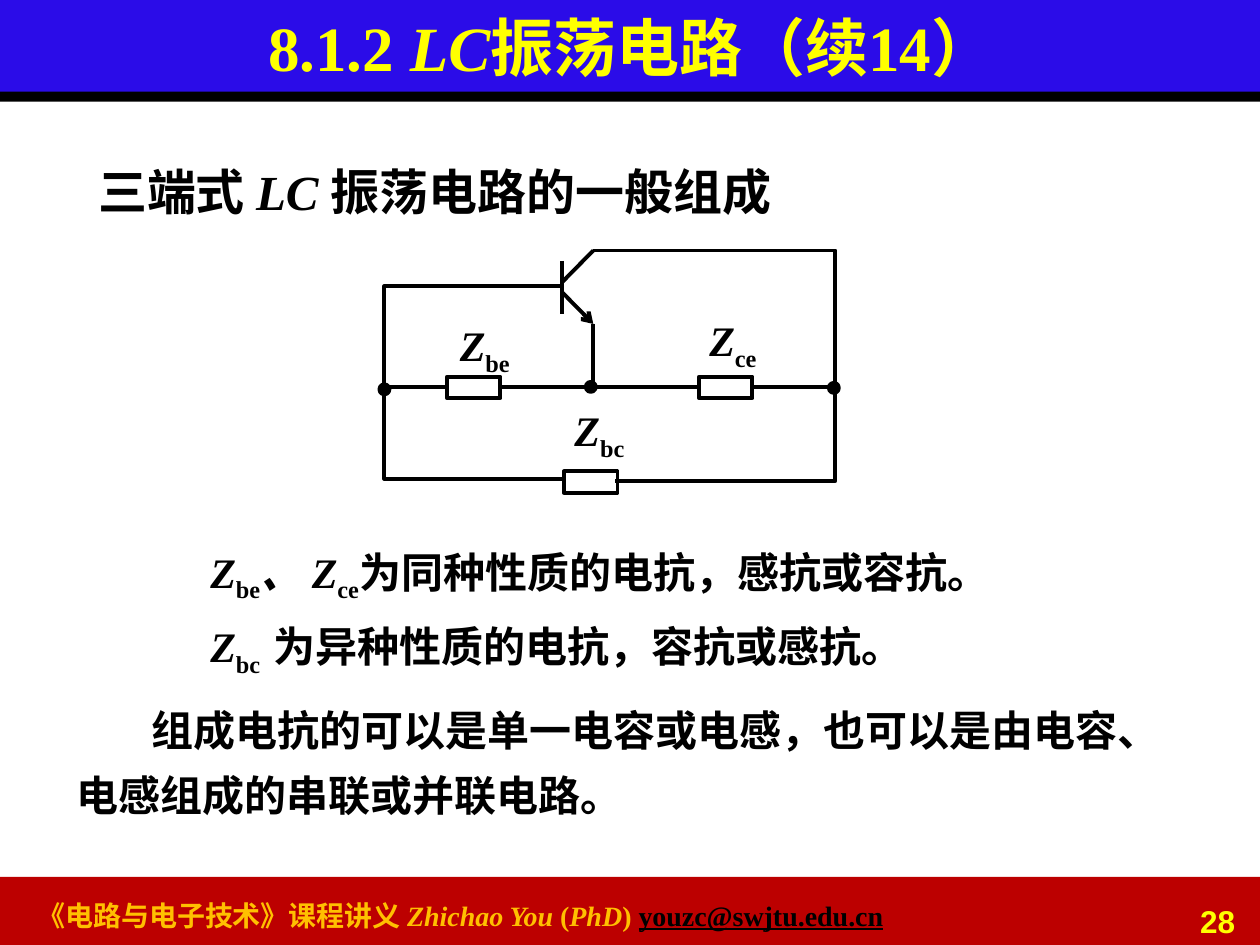
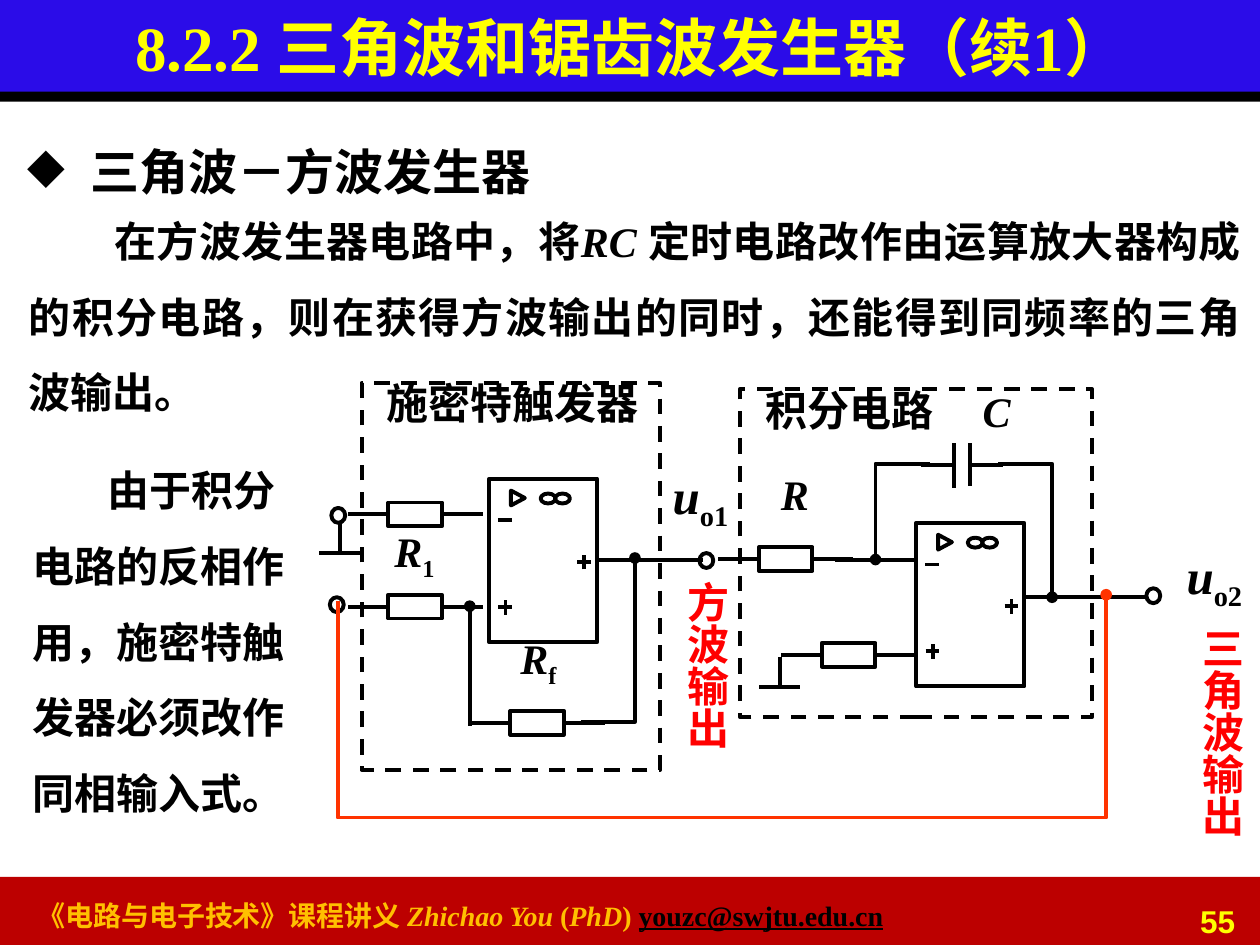
"""Build two lecture slides on LC oscillators and triangle wave generators."""
from dataclasses import dataclass, field, replace
from typing import NamedTuple, Optional, Sequence

from lxml import etree
from pptx import Presentation
from pptx.dml.color import RGBColor
from pptx.enum.dml import MSO_LINE
from pptx.enum.lang import MSO_LANGUAGE_ID
from pptx.enum.shapes import MSO_CONNECTOR, MSO_SHAPE
from pptx.enum.text import MSO_ANCHOR, MSO_AUTO_SIZE, PP_ALIGN
from pptx.oxml.ns import qn
from pptx.shapes.autoshape import Shape
from pptx.slide import Slide
from pptx.util import Cm, Pt

RECTANGLE, ELLIPSE, TRIANGLE = MSO_SHAPE.RECTANGLE, MSO_SHAPE.OVAL, MSO_SHAPE.ISOSCELES_TRIANGLE
STRAIGHT, DASH = MSO_CONNECTOR.STRAIGHT, MSO_LINE.DASH
LEFT, CENTER, RIGHT, JUSTIFY = PP_ALIGN.LEFT, PP_ALIGN.CENTER, PP_ALIGN.RIGHT, PP_ALIGN.JUSTIFY
TOP, MIDDLE = MSO_ANCHOR.TOP, MSO_ANCHOR.MIDDLE
GROW, FIXED = MSO_AUTO_SIZE.SHAPE_TO_FIT_TEXT, MSO_AUTO_SIZE.NONE
CHINESE = MSO_LANGUAGE_ID.SIMPLIFIED_CHINESE


@dataclass(frozen=True)
class Theme:
    """Colours, fonts and sizes shared by the slides."""
    ink: str = "000000"
    title_band: str = "2B0CE8"
    footer_band: str = "BC0000"
    yellow: str = "FFFF00"
    gold: str = "FFC000"
    red: str = "FF0000"
    feedback: str = "FF3300"
    serif: str = "Times New Roman"
    sans: str = "Arial"
    title: int = 36
    heading: int = 28
    body: int = 24
    number: int = 18
    footer: int = 16
    stroke: float = 2.25


THEME = Theme()


class Box(NamedTuple):
    """A frame in centimetres."""
    left: float
    top: float
    width: float
    height: float


class Span(NamedTuple):
    """A stretch of text with its own accents."""
    text: str
    italic: bool = False
    subscript: bool = False
    link: bool = False


@dataclass(frozen=True)
class TextStyle:
    """Look of the paragraphs in a text box."""
    size: int = THEME.body
    color: str = THEME.ink
    font: str = THEME.serif
    align: PP_ALIGN = LEFT
    anchor: MSO_ANCHOR = TOP
    spacing: float = 1.0
    margin: float = 0
    indent: float = 0
    bullet: str = ""
    wrap: bool = True
    vertical: bool = False


@dataclass(frozen=True)
class Wire:
    """A line through points, with an optional end mark."""
    points: Sequence[tuple[float, float]]
    end: str = ""
    color: str = THEME.ink


@dataclass(frozen=True)
class Resistor:
    """A resistor centred on a point, with a lead on either side."""
    x: float
    y: float
    height: float = 0.48
    lead: float = 0.82


@dataclass(frozen=True)
class Label:
    """Text placed in a frame."""
    box: Box
    spans: Sequence[Span]
    style: TextStyle = field(default_factory=lambda: LABEL)


LABEL = TextStyle(wrap=False)
SIGNAL = replace(LABEL, size=THEME.heading)
VERTICAL = replace(LABEL, color=THEME.red, vertical=True)
TITLE = TextStyle(THEME.title, THEME.yellow, align=CENTER, anchor=MIDDLE)
NUMBER = TextStyle(THEME.number, THEME.yellow, THEME.sans, RIGHT)
FOOTER = TextStyle(THEME.footer, THEME.gold)
HEADING = TextStyle(THEME.heading, anchor=MIDDLE)
BULLET = TextStyle(THEME.heading, spacing=1.5, margin=1.27, indent=-1.27, bullet="◆")
BODY = TextStyle(spacing=1.3)
FOOTER_SPANS = (Span("《电路与电子技术》课程讲义 "), Span("Zhichao You ", italic=True), Span("("),
                Span("PhD", italic=True), Span(") "), Span("youzc@swjtu.edu.cn", link=True))


def symbol(letter: str, subscript: str) -> tuple[Span, Span]:
    """Return an italic letter with an upright subscript."""
    return Span(letter, italic=True), Span(subscript, subscript=True)


def add_text(slide: Slide, box: Box, style: TextStyle, *lines: Sequence[Span]) -> None:
    """Add a text box with one paragraph per line."""
    shape = slide.shapes.add_textbox(*map(Cm, box))
    frame = shape.text_frame
    frame.word_wrap = style.wrap
    frame.auto_size = FIXED if style.wrap else GROW
    frame.vertical_anchor = style.anchor
    if style.vertical:
        shape.element.txBody.bodyPr.set("vert", "eaVert")
    for position, spans in enumerate(lines):
        paragraph = frame.add_paragraph() if position else frame.paragraphs[0]
        paragraph.alignment = style.align
        paragraph.line_spacing = style.spacing
        properties = paragraph._p.get_or_add_pPr()
        properties.set("marL", str(Cm(style.margin)))
        properties.set("indent", str(Cm(style.indent)))
        if style.bullet:
            etree.SubElement(properties, qn("a:buChar"), char=style.bullet)
        font = paragraph.font
        font.name, font.size, font.bold = style.font, Pt(style.size), True
        font.color.rgb = RGBColor.from_string(style.color)
        font.language_id = CHINESE
        for span in spans:
            run = paragraph.add_run()
            run.text = span.text
            if span.italic:
                run.font.italic = True
            if span.subscript:
                run.font._element.set("baseline", "-25000")
            if span.link:
                run.font.underline = True
                run.font.color.rgb = RGBColor.from_string(THEME.ink)


def add_figure(slide: Slide, kind: MSO_SHAPE, box: Box, fill: Optional[str] = None,
               outlined: bool = True) -> Shape:
    """Add a preset shape, hollow unless a fill is given."""
    shape = slide.shapes.add_shape(kind, *map(Cm, box))
    shape.shadow.inherit = False
    if fill:
        shape.fill.solid()
        shape.fill.fore_color.rgb = RGBColor.from_string(fill)
    else:
        shape.fill.background()
    if outlined:
        shape.line.width = Pt(THEME.stroke)
        shape.line.color.rgb = RGBColor.from_string(THEME.ink)
    else:
        shape.line.fill.background()
    return shape


def add_wire(slide: Slide, wire: Wire) -> None:
    """Draw a straight connector or an open bent outline."""
    points = [(Cm(x), Cm(y)) for x, y in wire.points]
    if len(points) == 2:
        shape = slide.shapes.add_connector(STRAIGHT, *points[0], *points[1])
    else:
        builder = slide.shapes.build_freeform(*points[0])
        builder.add_line_segments(points[1:], close=False)
        shape = builder.convert_to_shape()
        shape.fill.background()
    shape.line.width = Pt(THEME.stroke)
    shape.line.color.rgb = RGBColor.from_string(wire.color)
    if wire.end:
        etree.SubElement(shape.line._get_or_add_ln(), qn("a:tailEnd"), type=wire.end)
    etree.SubElement(shape.element.spPr, qn("a:effectLst"))


def add_resistor(slide: Slide, resistor: Resistor) -> None:
    """Draw a resistor body and its leads."""
    x, y, half = resistor.x, resistor.y, 0.54
    add_figure(slide, RECTANGLE, Box(x - half, y - resistor.height / 2, 2 * half, resistor.height))
    if resistor.lead:
        for side in (-1, 1):
            add_wire(slide, Wire(((x + side * half, y), (x + side * (half + resistor.lead), y))))


def add_node(slide: Slide, x: float, y: float, width: float, height: float,
             fill: Optional[str] = None) -> None:
    """Draw an ellipse centred on a point."""
    add_figure(slide, ELLIPSE, Box(x - width / 2, y - height / 2, width, height), fill)


def add_ground(slide: Slide, x: float, y: float) -> None:
    """Draw a ground bar with its stem."""
    add_wire(slide, Wire(((x - 0.41, y), (x + 0.41, y))))
    add_wire(slide, Wire(((x, y), (x, y - 0.6))))


def add_op_amp(slide: Slide, left: float, top: float) -> None:
    """Draw an ideal operational amplifier."""
    add_figure(slide, RECTANGLE, Box(left, top, 2.18, 3.3))
    add_figure(slide, TRIANGLE, Box(left + 0.43, top + 0.25, 0.3, 0.28)).rotation = 90
    for x in (1.19, 1.48):
        add_node(slide, left + x, top + 0.4, 0.3, 0.2)
    for x, y, positive in ((0.32, 0.84, False), (0.33, 2.59, True), (1.92, 1.68, True)):
        x, y = left + x, top + y
        add_wire(slide, Wire(((x - 0.14, y), (x + 0.14, y))))
        if positive:
            add_wire(slide, Wire(((x, y + 0.15), (x, y - 0.15))))


def add_page(presentation: Presentation, title: Sequence[Span], number: str) -> Slide:
    """Add a slide with the bands, title, footer and number."""
    slide = presentation.slides.add_slide(presentation.slide_layouts[6])
    for box, color in ((Box(-0.05, 17.68, 25.5, 1.42), THEME.footer_band),
                       (Box(-0.05, 0, 25.5, 1.93), THEME.title_band),
                       (Box(-0.03, 1.85, 25.45, 0.2), THEME.ink)):
        add_figure(slide, RECTANGLE, box, color, outlined=False)
    add_text(slide, Box(0.51, 17.98, 22.4, 0.94), FOOTER, FOOTER_SPANS)
    add_text(slide, Box(0, 0, 25.45, 1.85), TITLE, title)
    add_text(slide, Box(22.76, 18.06, 2.39, 0.79), NUMBER, [Span(number)])
    return slide


def add_circuit(slide: Slide, resistors: Sequence[Resistor], wires: Sequence[Wire],
                labels: Sequence[Label]) -> None:
    """Draw the parts of a circuit."""
    for resistor in resistors:
        add_resistor(slide, resistor)
    for wire in wires:
        add_wire(slide, wire)
    for label in labels:
        add_text(slide, label.box, label.style, label.spans)


def build_three_point_oscillator(presentation: Presentation) -> None:
    """Build the slide on the three-point LC oscillator."""
    slide = add_page(presentation, (Span("8.1.2 "), Span("LC", italic=True), Span("振荡电路（续14）")), "28")
    add_text(slide, Box(1.73, 3, 21.59, 1.7), HEADING,
             (Span("三端式 "), Span("LC ", italic=True), Span("振荡电路的一般组成")))
    resistors = [Resistor(x, y, 0.43, 0) for x, y in ((9.55, 7.81), (14.63, 7.81), (11.91, 9.72))]
    wires = (Wire(((11.33, 5.26), (11.33, 6.32))), Wire(((11.33, 5.69), (11.96, 5.05))),
             Wire(((11.33, 5.89), (11.96, 6.53)), "arrow"), Wire(((11.33, 5.77), (10.49, 5.77))),
             Wire(((11.96, 5.05), (16.84, 5.05), (16.84, 9.7), (12.4, 9.7))),
             Wire(((10.69, 5.77), (7.75, 5.77), (7.75, 9.65), (11.33, 9.65))),
             Wire(((9.02, 7.8), (7.75, 7.8))), Wire(((10.06, 7.8), (14.1, 7.8))),
             Wire(((15.14, 7.8), (16.84, 7.8))), Wire(((11.96, 6.53), (11.96, 7.8))))
    labels = [Label(Box(x, y, width, 1.27), symbol("Z", name)) for x, y, width, name in
              ((14.05, 6.22, 1.52, "ce"), (9.02, 6.32, 1.6, "be"), (11.33, 8.03, 1.6, "bc"))]
    add_circuit(slide, resistors, wires, labels)
    for x, y in ((11.91, 7.8), (7.75, 7.85), (16.81, 7.82)):
        add_node(slide, x, y, 0.2, 0.2, THEME.ink)
    add_text(slide, Box(3.99, 10.54, 18.64, 2.9), BODY,
             (*symbol("Z", "be"), *symbol("、 Z", "ce"), Span("为同种性质的电抗，感抗或容抗。")),
             (*symbol("Z", "bc\t"), Span("为异种性质的电抗，容抗或感抗。")))
    add_text(slide, Box(1.3, 13.77, 22.78, 2.9), replace(BODY, indent=1.5),
             [Span("组成电抗的可以是单一电容或电感，也可以是由电容、电感组成的串联或并联电路。")])


def build_triangle_generator(presentation: Presentation) -> None:
    """Build the slide on the triangle and square wave generator."""
    slide = add_page(presentation, [Span("8.2.2 三角波和锯齿波发生器（续1）")], "55")
    add_text(slide, Box(0.3, 2.13, 24.69, 15.39), BULLET, [Span("三角波－方波发生器")])
    add_text(slide, Box(0.33, 3.71, 24.94, 4.88), TextStyle(align=JUSTIFY, spacing=1.5, indent=1.73),
             (Span("在方波发生器电路中，将"), Span("RC ", italic=True),
              Span("定时电路改作由运算放大器构成的积分电路，则在获得方波输出的同时，还能得到同频率的三角波输出。")))
    for box in (Box(7.29, 7.72, 6.02, 7.8), Box(14.91, 7.85, 7.11, 6.6)):
        add_figure(slide, RECTANGLE, box).line.dash_style = DASH
    for left, top in ((9.86, 9.65), (18.47, 10.54)):
        add_op_amp(slide, left, top)
    for x, y in ((6.82, 10.39), (6.79, 12.19), (14.24, 11.3), (23.25, 12.01)):
        add_node(slide, x, y, 0.28, 0.3)
    for x, y in ((6.85, 11.15), (15.72, 13.84)):
        add_ground(slide, x, y)
    resistors = [Resistor(x, y) for x, y in
                 ((8.37, 10.37), (8.37, 12.23), (10.83, 14.57), (15.84, 11.27), (17.11, 13.2))]
    wires = (Wire(((11.99, 11.28), (14.17, 11.28))), Wire(((9.47, 14.63), (9.47, 12.22)), "oval"),
             Wire(((11.71, 14.55), (12.8, 14.55), (12.8, 11.25)), "oval"),
             Wire(((19.23, 8.94), (19.23, 9.83))), Wire(((19.56, 8.94), (19.56, 9.8))),
             Wire(((18.57, 9.37), (19.23, 9.37))), Wire(((19.56, 9.37), (20.22, 9.37))),
             Wire(((18.75, 9.35), (17.65, 9.35), (17.65, 11.28)), "oval"),
             Wire(((20.12, 9.35), (21.21, 9.35), (21.21, 12.04)), "oval"),
             Wire(((16.84, 11.28), (18.47, 11.28))), Wire(((20.65, 12.04), (23.11, 12.04))),
             Wire(((6.81, 12.12), (6.81, 16.48), (22.3, 16.48), (22.3, 11.99)), "oval", THEME.feedback))
    labels = (Label(Box(13.31, 9.25, 1.73, 1.45), symbol("u", "o1"), SIGNAL),
              Label(Box(23.67, 10.87, 1.73, 1.45), symbol("u", "o2"), SIGNAL),
              Label(Box(10.24, 12.62, 1.27, 1.27), symbol("R", "f")),
              Label(Box(7.7, 10.46, 1.37, 1.14), symbol("R", "1")),
              Label(Box(7.54, 7.49, 5.61, 1.27), [Span("施密特触发器")]),
              Label(Box(15.19, 7.62, 3.91, 1.27), [Span("积分电路")]),
              Label(Box(19.56, 7.65, 1.07, 1.27), [Span("C", italic=True)]),
              Label(Box(15.49, 9.32, 1.07, 1.27), [Span("R", italic=True)]),
              Label(Box(13.36, 11.48, 1.52, 3.58), [Span("方波输出")], VERTICAL),
              Label(Box(23.75, 12.4, 1.52, 4.42), [Span("三角波输出")], VERTICAL))
    add_circuit(slide, resistors, wires, labels)
    add_text(slide, Box(0.41, 8.74, 6.05, 7.95), TextStyle(spacing=1.5, indent=1.5),
             [Span("由于积分电路的反相作用，施密特触发器必须改作同相输入式。")])


def main() -> None:
    """Build and save the presentation."""
    presentation = Presentation()
    presentation.slide_width, presentation.slide_height = Cm(25.4), Cm(19.05)
    build_three_point_oscillator(presentation)
    build_triangle_generator(presentation)
    presentation.save("out.pptx")


if __name__ == "__main__":
    main()
